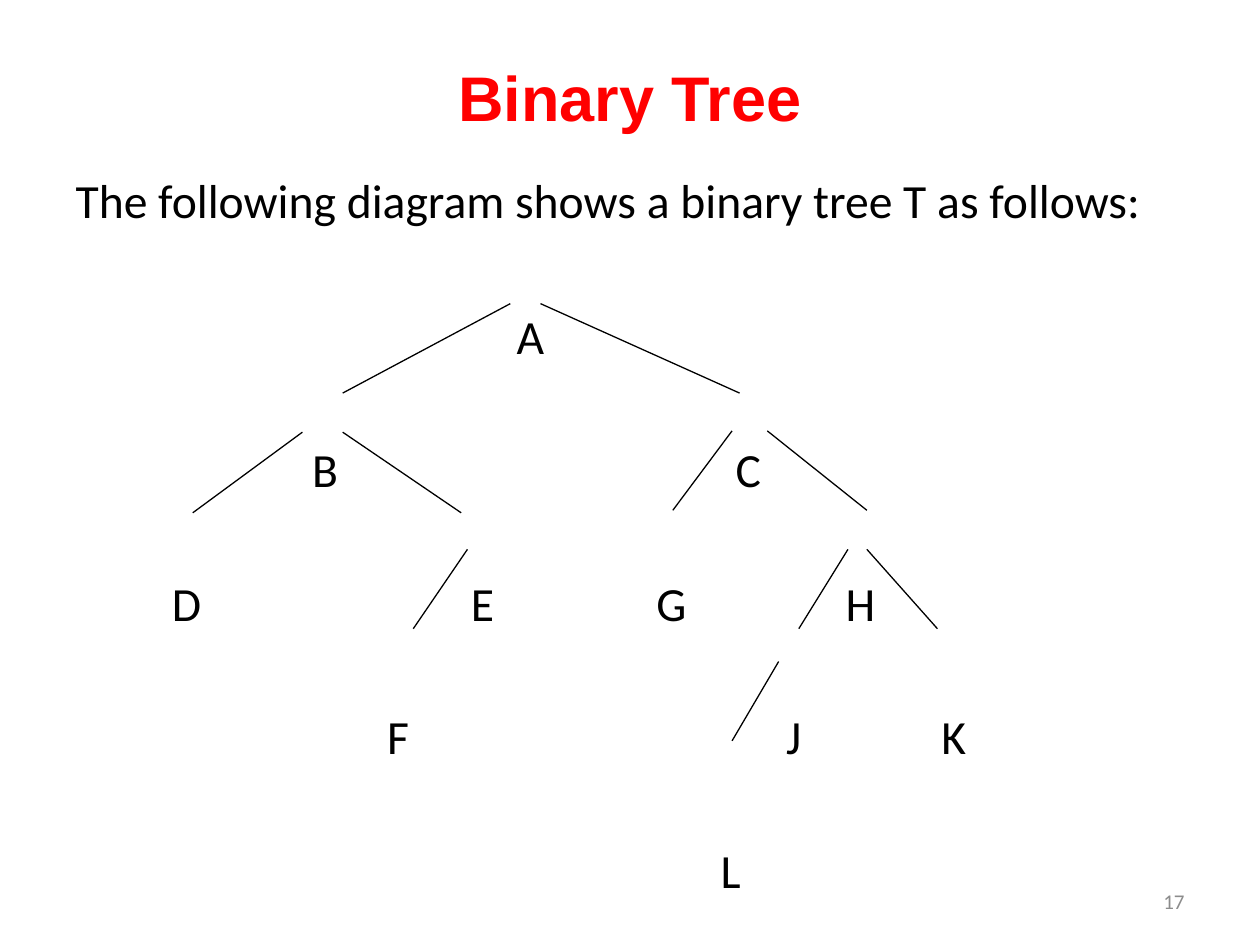
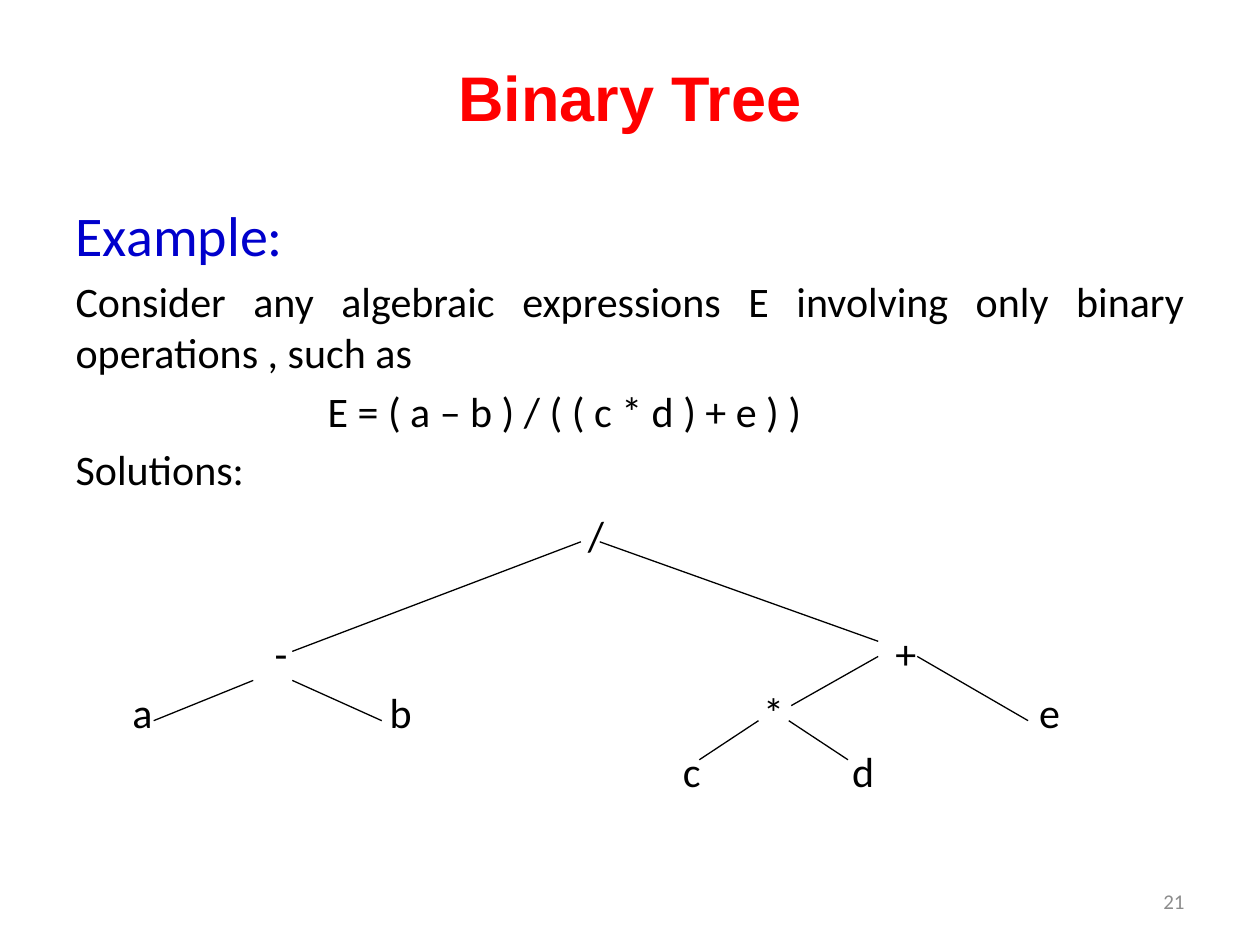
from pptx import Presentation, util as u
from pptx.dml.color import RGBColor
from pptx.enum import shapes, text
from pptx.oxml.ns import qn
from lxml import etree

COLORS = {"title": "FF0000", "heading": "0000CC", "ink": "000000", "number": "8C8C8C"}
UNIT = u.Inches(0.1)
TITLE_BOX = (5, 3, 90, 9.3)
NUMBER_BOX = (71.7, 69.5, 23.3, 4)
NODE_SIZE = 5

LETTER_BOX = (5, 13.1, 90, 59.1)
LETTER_LEVELS = {
    0: {"A": 37.1},
    1: {"B": 20.8, "C": 54.4},
    2: {"D": 9.8, "E": 33.3, "G": 48.3, "H": 63.3},
    3: {"F": 26.6, "J": 58, "K": 70.7},
    4: {"L": 53},
}
LETTER_EDGES = [
    (35.5, 11, 22.2, 18.1), (37.9, 11, 53.7, 18.1),
    (19, 21.2, 10.3, 27.6), (22.2, 21.2, 31.6, 27.6),
    (53.1, 21.1, 48.4, 27.4), (55.9, 21.1, 63.8, 27.4),
    (27.8, 36.8, 32.1, 30.5), (62.3, 30.5, 58.4, 36.8),
    (63.8, 30.5, 69.4, 36.8), (56.8, 39.4, 53.1, 45.7),
]

EXPRESSION_BOX = (5, 15.4, 90, 54.3)
EXPRESSION_LEVELS = {
    0: {"/": 42.3},
    2: {"-": 17.3, "+": 66.9},
    3: {"a": 6.3, "b": 26.8, "*": 56.4, "e": 78.3},
    4: {"c": 49.9, "d": 63.5},
}
EXPRESSION_EDGES = [
    (41.1, 27.6, 18.2, 36.3), (42.6, 27.6, 64.7, 35.5),
    (15.1, 38.6, 7.2, 41.8), (18.2, 38.6, 25.3, 41.8),
    (64.7, 36.7, 57.8, 40.6), (67.8, 36.7, 76.6, 41.8),
    (55.2, 41.8, 50.5, 44.9), (57.6, 41.8, 62.3, 44.9),
]


def grid(*lengths):
    """Turn grid units into slide lengths."""
    return [round(length * UNIT) for length in lengths]


def place(shape, box):
    """Move a shape to a box of the grid."""
    shape.left, shape.top, shape.width, shape.height = grid(*box)


def format_runs(paragraph, size, color, font="Calibri", bold=False):
    """Set the look of every run in a paragraph."""
    for run in paragraph.runs:
        run.font.size = u.Pt(size)
        run.font.name = font
        run.font.bold = bold
        run.font.color.rgb = RGBColor.from_string(COLORS[color])


def add_label(slide, box, words, size, color, alignment):
    """Add a one-line text box, centred vertically."""
    frame = slide.shapes.add_textbox(*grid(*box)).text_frame
    frame.word_wrap = True
    frame.vertical_anchor = text.MSO_ANCHOR.MIDDLE
    frame.text = words
    frame.paragraphs[0].alignment = alignment
    format_runs(frame.paragraphs[0], size, color)
    return frame


def add_paragraph(frame, words, size, space=0, color="ink", margin=0):
    """Write one justified paragraph without a bullet."""
    paragraph = frame.paragraphs[0]
    if paragraph.text:
        paragraph = frame.add_paragraph()
    paragraph.text = words
    properties = paragraph._p.get_or_add_pPr()
    properties.set("marL", str(grid(margin)[0]))
    properties.set("indent", "0")
    etree.SubElement(properties, qn("a:buNone"))
    paragraph.alignment = text.PP_ALIGN.JUSTIFY
    paragraph.space_before = u.Pt(space)
    format_runs(paragraph, size, color)


def add_tree(slide, box, levels, edges, first, pitch, size):
    """Draw a tree's nodes and branches inside its box, levels evenly spaced."""
    left, top = box[:2]
    half = NODE_SIZE / 2
    for level, nodes in levels.items():
        middle = top + first + level * pitch
        for label, center in nodes.items():
            node_box = (left + center - half, middle - half, NODE_SIZE, NODE_SIZE)
            frame = add_label(slide, node_box, label, size, "ink", text.PP_ALIGN.CENTER)
            frame.margin_left = frame.margin_right = 0
            frame.margin_top = frame.margin_bottom = 0
    for x1, y1, x2, y2 in edges:
        ends = grid(left + x1, top + y1, left + x2, top + y2)
        edge = slide.shapes.add_connector(shapes.MSO_CONNECTOR.STRAIGHT, *ends)
        edge.line.color.rgb = RGBColor.from_string(COLORS["ink"])
        edge.line.width = u.Pt(0.75)
        etree.SubElement(edge._element.spPr, qn("a:effectLst"))


def add_slide(presentation, number, body_box):
    """Add a titled, numbered slide and return it with its body frame."""
    slide = presentation.slides.add_slide(presentation.slide_layouts[1])
    title, body = slide.placeholders
    place(title, TITLE_BOX)
    title.text_frame.text = "Binary Tree"
    title.text_frame.vertical_anchor = text.MSO_ANCHOR.MIDDLE
    heading = title.text_frame.paragraphs[0]
    heading.alignment = text.PP_ALIGN.CENTER
    format_runs(heading, 36, "title", "Arial", True)
    place(body, body_box)
    for frame in (title.text_frame, body.text_frame):
        frame.auto_size = text.MSO_AUTO_SIZE.NONE
    add_label(slide, NUMBER_BOX, str(number), 12, "number", text.PP_ALIGN.RIGHT)
    return slide, body.text_frame


def add_letter_slide(presentation, box):
    """Show the binary tree T."""
    slide, frame = add_slide(presentation, 17, box)
    add_paragraph(frame, "The following diagram shows a binary tree T as follows:", 27.2)
    add_tree(slide, box, LETTER_LEVELS, LETTER_EDGES, 13.5, 10.6, 27.2)


def add_expression_slide(presentation, box):
    """Show an algebraic expression and its tree."""
    slide, frame = add_slide(presentation, 21, box)
    add_paragraph(frame, "Example:", 32, color="heading")
    add_paragraph(frame, "Consider any algebraic expressions E involving only binary "
                  "operations , such as", 24, 4.8)
    add_paragraph(frame, "E = ( a – b ) / ( ( c * d ) + e ) )", 24, 4.8, margin=20)
    add_paragraph(frame, "Solutions:", 24, 4.8)
    add_tree(slide, box, EXPRESSION_LEVELS, EXPRESSION_EDGES, 27, 4.7, 24)


def main():
    """Build and save the slides."""
    presentation = Presentation()
    presentation.slide_width, presentation.slide_height = grid(100, 75)
    add_letter_slide(presentation, LETTER_BOX)
    add_expression_slide(presentation, EXPRESSION_BOX)
    presentation.save("out.pptx")


if __name__ == "__main__":
    main()
